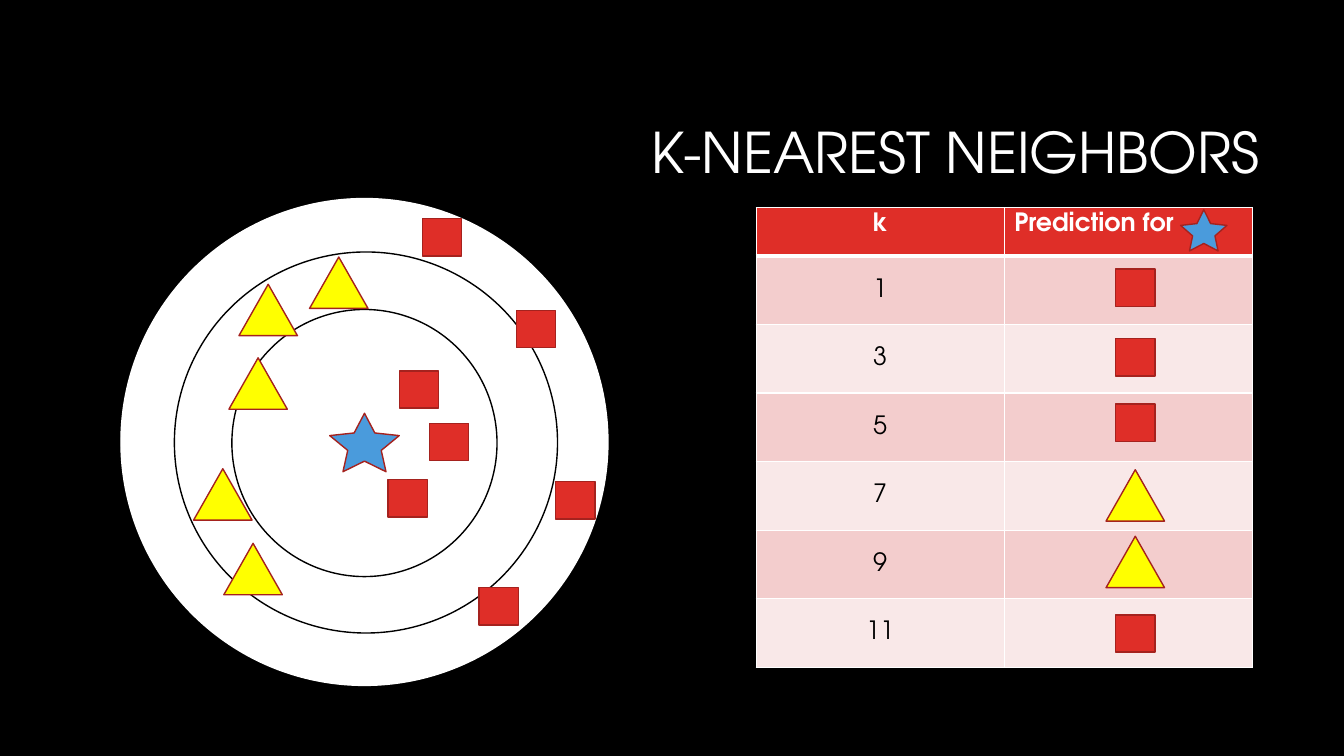
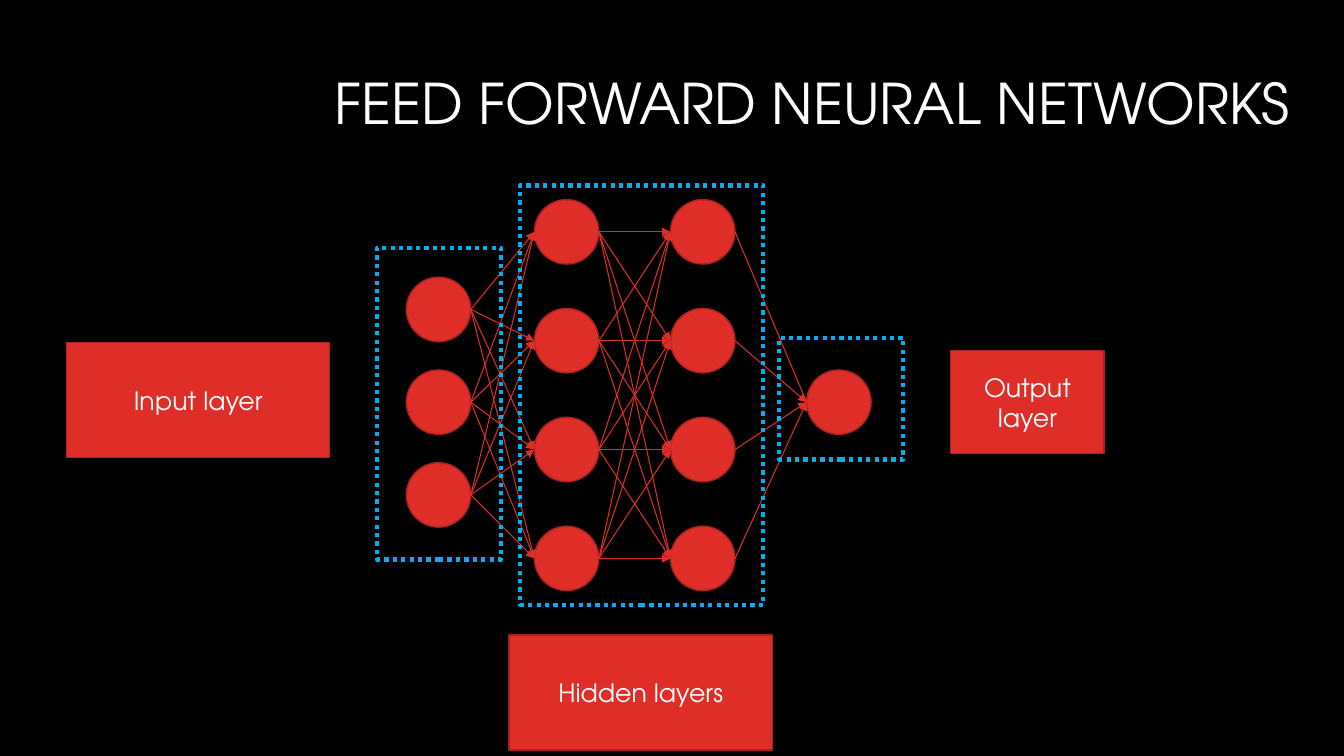
import dataclasses
import itertools
import typing

import pptx
import pptx.dml.color
import pptx.enum.dml
import pptx.enum.shapes
import pptx.enum.text
import pptx.oxml.ns
import pptx.util
from lxml import etree

Inches = pptx.util.Inches
Pt = pptx.util.Pt
Kind = pptx.enum.shapes.MSO_SHAPE
Align = pptx.enum.text.PP_ALIGN
Anchor = pptx.enum.text.MSO_ANCHOR

FONT = "TeX Gyre Adventor"
COLORS = {
    "black": "000000",
    "white": "FFFFFF",
    "red": "DF2E28",
    "dark red": "A5221E",
    "blue": "4A9BDC",
    "yellow": "FFFF00",
    "frame": "00B0F0",
    "odd row": "F3CDCD",
    "even row": "F9E8E8",
}


@dataclasses.dataclass(frozen=True)
class Marker:
    kind: Kind
    width: float
    height: float
    fill: str
    line: str = "dark red"


@dataclasses.dataclass(frozen=True)
class Prediction:
    k: str
    marker: Marker
    top: float


@dataclasses.dataclass(frozen=True)
class Layer:
    left: float
    top: float
    step: float
    count: int

    def tops(self) -> list[float]:
        return [self.top + self.step * index for index in range(self.count)]


@dataclasses.dataclass(frozen=True)
class Box:
    left: float
    top: float
    width: float
    height: float
    text: str = ""


SQUARE = Marker(Kind.RECTANGLE, 0.39, 0.37, "red")
TRIANGLE = Marker(Kind.ISOSCELES_TRIANGLE, 0.58, 0.51, "yellow")
STAR = Marker(Kind.STAR_5_POINT, 0.69, 0.58, "blue")
SMALL_STAR = Marker(Kind.STAR_5_POINT, 0.46, 0.41, "blue")
NODE = Marker(Kind.OVAL, 0.64, 0.64, "red")

# Nearest neighbors
RINGS = [
    (1.2, 1.97, Marker(Kind.OVAL, 4.83, 4.83, "white", "white")),
    (1.73, 2.5, Marker(Kind.OVAL, 3.8, 3.78, "white", "black")),
    (2.3, 3.07, Marker(Kind.OVAL, 2.63, 2.65, "white", "black")),
]
SQUARES = [(4.19, 2.17), (5.12, 3.08), (3.96, 3.68), (3.85, 4.76),
           (4.26, 4.2), (4.75, 5.83), (5.51, 4.78)]
TRIANGLES = [(2.27, 3.55), (2.22, 5.39), (1.92, 4.65), (3.07, 2.55), (2.37, 2.82)]
PREDICTIONS = [
    Prediction("1", SQUARE, 2.67),
    Prediction("3", SQUARE, 3.36),
    Prediction("5", SQUARE, 4.01),
    Prediction("7", TRIANGLE, 4.66),
    Prediction("9", TRIANGLE, 5.32),
    Prediction("11", SQUARE, 6.1),
]
PREDICTION_CENTER = 11.26

# Neural network
LAYERS = [
    Layer(4.03, 2.75, 0.92, 3),
    Layer(5.3, 1.98, 1.08, 4),
    Layer(6.65, 1.98, 1.08, 4),
    Layer(8, 3.67, 0, 1),
]
FRAMES = [
    Box(3.74, 2.46, 1.23, 3.09),
    Box(5.16, 1.84, 2.41, 4.16),
    Box(7.73, 3.35, 1.23, 1.21),
]
LABELS = [
    Box(0.66, 3.4, 2.61, 1.14, "Input layer"),
    Box(5.05, 6.3, 2.61, 1.14, "Hidden layers"),
    Box(9.43, 3.48, 1.52, 1.02, "Output layer"),
]


def color(name: str) -> pptx.dml.color.RGBColor:
    return pptx.dml.color.RGBColor.from_string(COLORS[name])


def write_text(text_frame: typing.Any, text: str, *, size: float = 18,
               name: str = "white", bold: bool = False,
               align: Align = Align.CENTER, spacing: float = 1.0) -> None:
    text_frame.word_wrap = True
    paragraph = text_frame.paragraphs[0]
    paragraph.alignment = align
    paragraph.line_spacing = spacing
    run = paragraph.add_run()
    run.text = text
    run.font.name = FONT
    run.font.size = Pt(size)
    run.font.bold = bold
    run.font.color.rgb = color(name)


def add_titled_slide(presentation: typing.Any, text: str, box: Box) -> typing.Any:
    slide = presentation.slides.add_slide(presentation.slide_layouts[5])
    title = slide.shapes.title
    title.left, title.top = Inches(box.left), Inches(box.top)
    title.width, title.height = Inches(box.width), Inches(box.height)
    title.text_frame.vertical_anchor = Anchor.MIDDLE
    write_text(title.text_frame, text, size=40, align=Align.RIGHT, spacing=0.9)
    return slide


def add_marker(shapes: typing.Any, marker: Marker, left: float, top: float) -> typing.Any:
    shape = shapes.add_shape(marker.kind, Inches(left), Inches(top),
                             Inches(marker.width), Inches(marker.height))
    shape.shadow.inherit = False
    shape.fill.solid()
    shape.fill.fore_color.rgb = color(marker.fill)
    shape.line.color.rgb = color(marker.line)
    shape.line.width = Pt(1)
    if marker.kind == Kind.STAR_5_POINT:
        shape.adjustments[0] = 0.241
    return shape


def add_frame(shapes: typing.Any, box: Box) -> None:
    frame = add_marker(shapes, Marker(Kind.RECTANGLE, box.width, box.height, "black", "frame"),
                       box.left, box.top)
    frame.fill.background()
    frame.line.width = Pt(3)
    frame.line.dash_style = pptx.enum.dml.MSO_LINE.ROUND_DOT


def add_label(shapes: typing.Any, box: Box) -> None:
    label = add_marker(shapes, Marker(Kind.RECTANGLE, box.width, box.height, "red"),
                       box.left, box.top)
    label.text_frame.vertical_anchor = Anchor.MIDDLE
    write_text(label.text_frame, box.text)


def add_link(shapes: typing.Any, start: tuple[float, float], end: tuple[float, float],
             arrow: bool) -> None:
    points = [Inches(value) for value in (*start, *end)]
    link = shapes.add_connector(pptx.enum.shapes.MSO_CONNECTOR.STRAIGHT, *points)
    link.line.color.rgb = color("red")
    link.line.width = Pt(0.75)
    if arrow:
        line = link.line._get_or_add_ln()
        etree.SubElement(line, pptx.oxml.ns.qn("a:tailEnd"), type="triangle")
    etree.SubElement(link._element.spPr, pptx.oxml.ns.qn("a:effectLst"))


def format_cell(cell: typing.Any, fill: str, top: float = 1, bottom: float = 1) -> None:
    properties = cell._tc.get_or_add_tcPr()
    for side, width in (("L", 1), ("R", 1), ("T", top), ("B", bottom)):
        border = etree.SubElement(properties, pptx.oxml.ns.qn(f"a:ln{side}"), w=str(Pt(width)))
        solid = etree.SubElement(border, pptx.oxml.ns.qn("a:solidFill"))
        etree.SubElement(solid, pptx.oxml.ns.qn("a:srgbClr"), val=COLORS["white"])
    cell.fill.solid()
    cell.fill.fore_color.rgb = color(fill)


def add_prediction_table(shapes: typing.Any) -> None:
    table = shapes.add_table(len(PREDICTIONS) + 1, 2, Inches(7.5), Inches(2.06),
                             Inches(4.92), Inches(4.56)).table
    for column in table.columns:
        column.width = Inches(2.46)
    for index, row in enumerate(table.rows):
        row.height = Inches(0.68 if index else 0.48)

    headings = (("k", Align.CENTER), ("Prediction for", Align.LEFT))
    for index, (text, align) in enumerate(headings):
        cell = table.cell(0, index)
        format_cell(cell, "red", bottom=3)
        write_text(cell.text_frame, text, bold=True, align=align)
    for index, prediction in enumerate(PREDICTIONS, start=1):
        for column in range(2):
            format_cell(table.cell(index, column), "odd row" if index % 2 else "even row",
                        top=3 if index == 1 else 1)
        cell = table.cell(index, 0)
        cell.vertical_anchor = Anchor.MIDDLE
        write_text(cell.text_frame, prediction.k, name="black")


def build_neighbors(presentation: typing.Any) -> None:
    slide = add_titled_slide(presentation, "K-NEAREST NEIGHBORS", Box(3.17, 0.84, 9.42, 1.41))

    # Table with a marker for each prediction
    add_prediction_table(slide.shapes)
    add_marker(slide.shapes, SMALL_STAR, 11.71, 2.08)
    for prediction in PREDICTIONS:
        add_marker(slide.shapes, prediction.marker,
                   PREDICTION_CENTER - prediction.marker.width / 2, prediction.top)

    # Rings around the star
    target = slide.shapes.add_group_shape().shapes
    for left, top, ring in RINGS:
        add_marker(target, ring, left, top)
    add_marker(target, STAR, 3.27, 4.1)
    for marker, places in ((SQUARE, SQUARES), (TRIANGLE, TRIANGLES)):
        for left, top in places:
            add_marker(target, marker, left, top)


def build_network(presentation: typing.Any) -> None:
    slide = add_titled_slide(presentation, "FEED FORWARD NEURAL NETWORKS",
                             Box(2.85, 0.35, 10.04, 1.41))

    # Nodes
    for layer in LAYERS:
        for top in layer.tops():
            add_marker(slide.shapes, NODE, layer.left, top)

    # Links from every node to the whole next layer
    radius = NODE.height / 2
    for source, target in itertools.pairwise(LAYERS):
        for start, end in itertools.product(source.tops(), target.tops()):
            plain = target.count == 1 and start == source.top
            add_link(slide.shapes, (source.left + NODE.width, start + radius),
                     (target.left, end + radius), arrow=not plain)

    # Frames and labels
    for frame in FRAMES:
        add_frame(slide.shapes, frame)
    for label in LABELS:
        add_label(slide.shapes, label)


def main() -> None:
    presentation = pptx.Presentation()
    presentation.slide_width = Inches(13.33)
    presentation.slide_height = Inches(7.5)
    background = presentation.slide_master.background.fill
    background.solid()
    background.fore_color.rgb = color("black")
    build_neighbors(presentation)
    build_network(presentation)
    presentation.save("out.pptx")


if __name__ == "__main__":
    main()
